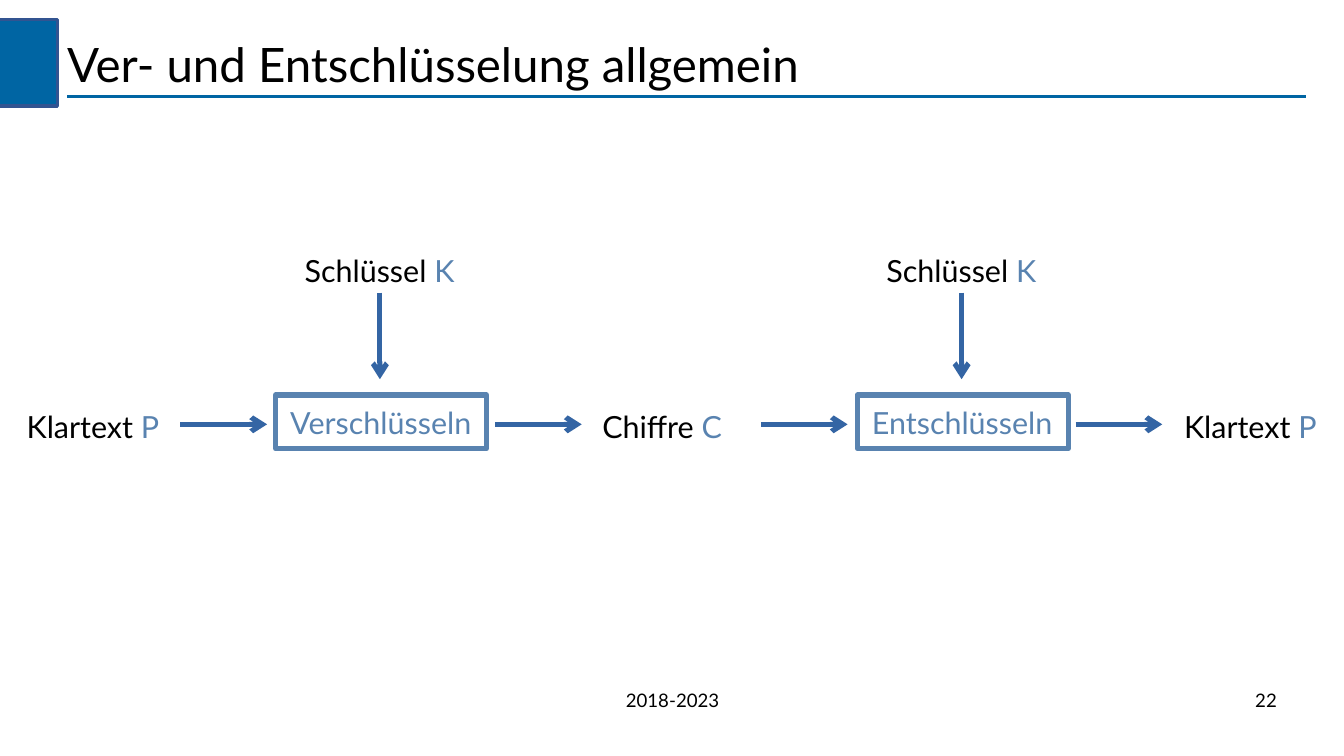
from lxml import etree
from pptx import Presentation
from pptx.dml.color import RGBColor
from pptx.enum.shapes import MSO_CONNECTOR, MSO_SHAPE
from pptx.enum.text import MSO_ANCHOR, PP_ALIGN
from pptx.oxml.ns import qn
from pptx.util import Inches, Pt

COLORS = {
    "text": "000000",
    "accent": "0065A3",
    "marker_border": "325491",
    "symbol": "5983B0",
    "arrow": "3465A4",
}
FONT = "Lato"
FLOW_Y = 3.48
ARROW_LENGTH = 0.71


def color(name):
    return RGBColor.from_string(COLORS[name])


def set_line(shape, color_name, width):
    shape.line.color.rgb = color(color_name)
    shape.line.width = Pt(width)


def write_text(shape, parts, size, inset_x=0, inset_y=0, wrap=True,
               align=PP_ALIGN.LEFT, anchor=MSO_ANCHOR.TOP):
    """Fill a shape with one paragraph of (text, colour name) parts."""
    frame = shape.text_frame
    frame.margin_left = frame.margin_right = Inches(inset_x)
    frame.margin_top = frame.margin_bottom = Inches(inset_y)
    frame.word_wrap = wrap
    frame.vertical_anchor = anchor
    paragraph = frame.paragraphs[0]
    paragraph.alignment = align
    for text, color_name in parts:
        run = paragraph.add_run()
        run.text = text
        run.font.name = FONT
        run.font.size = Pt(size)
        run.font.color.rgb = color(color_name)


def add_text(slide, left, top, width, height, parts, size, **layout):
    box = slide.shapes.add_textbox(
        Inches(left), Inches(top), Inches(width), Inches(height))
    write_text(box, parts, size, **layout)


def add_label(slide, left, top, width, word, symbol):
    """Add a term followed by its coloured symbol."""
    add_text(slide, left, top, width, 0.4,
             [(f"{word} ", "text"), (symbol, "symbol")], 18,
             inset_x=0.1, inset_y=0.05, wrap=False)


def add_rectangle(slide, left, top, width, height, line_color, line_width):
    shape = slide.shapes.add_shape(
        MSO_SHAPE.RECTANGLE,
        Inches(left), Inches(top), Inches(width), Inches(height))
    shape.shadow.inherit = False
    shape.fill.background()
    set_line(shape, line_color, line_width)
    return shape


def add_operation(slide, left, name):
    box = add_rectangle(slide, left, 3.24, 1.73, 0.44, "symbol", 3)
    write_text(box, [(name, "symbol")], 18,
               inset_x=0.12, inset_y=0.07, wrap=False)


def add_line(slide, x1, y1, x2, y2, color_name, width):
    connector = slide.shapes.add_connector(
        MSO_CONNECTOR.STRAIGHT,
        Inches(x1), Inches(y1), Inches(x2), Inches(y2))
    set_line(connector, color_name, width)
    etree.SubElement(connector._element.spPr, qn("a:effectLst"))
    return connector


def add_arrow(slide, x1, y1, x2, y2):
    connector = add_line(slide, x1, y1, x2, y2, "arrow", 3)
    etree.SubElement(connector.line._get_or_add_ln(),
                     qn("a:tailEnd"), type="arrow")


def add_frame(slide):
    """Add the title with its marker and rule, and the footer."""
    marker = add_rectangle(slide, -0.08, 0.16, 0.55, 0.71, "marker_border", 2)
    marker.fill.solid()
    marker.fill.fore_color.rgb = color("accent")
    add_line(slide, 0.55, 0.79, 10.71, 0.79, "accent", 2)
    add_text(slide, 0.55, 0.25, 9.92, 0.54,
             [("Ver- und Entschlüsselung allgemein", "text")], 28,
             anchor=MSO_ANCHOR.MIDDLE)
    add_text(slide, 3.77, 5.65, 3.49, 0.43, [("2018-2023", "text")], 11,
             align=PP_ALIGN.CENTER)
    add_text(slide, 7.9, 5.65, 2.57, 0.43, [("22", "text")], 11,
             align=PP_ALIGN.RIGHT)


def main():
    presentation = Presentation()
    presentation.slide_width = Inches(11.02)
    presentation.slide_height = Inches(6.2)
    slide = presentation.slides.add_slide(presentation.slide_layouts[6])

    add_frame(slide)
    for left, name in ((2.26, "Verschlüsseln"), (7.03, "Entschlüsseln")):
        add_operation(slide, left, name)
        add_label(slide, left + 0.14, 2.02, 1.43, "Schlüssel", "K")
        key_x = left + 0.855
        add_arrow(slide, key_x, 2.4, key_x, 2.4 + ARROW_LENGTH)
    for left, width, word, symbol in (
            (0.12, 1.29, "Klartext", "P"),
            (4.84, 1.18, "Chiffre", "C"),
            (9.61, 1.29, "Klartext", "P")):
        add_label(slide, left, 3.3, width, word, symbol)
    for start in (1.48, 4.06, 6.24, 8.82):
        add_arrow(slide, start, FLOW_Y, start + ARROW_LENGTH, FLOW_Y)

    presentation.save("out.pptx")


if __name__ == "__main__":
    main()
